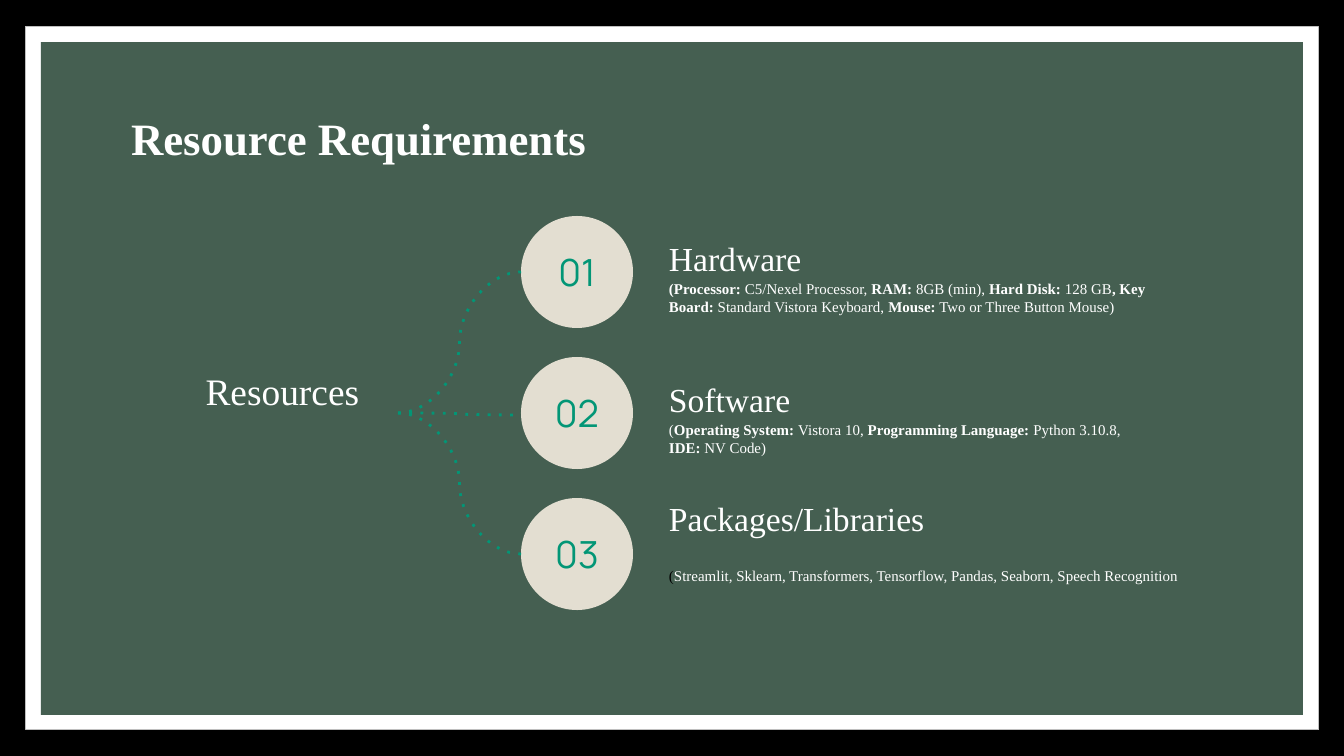
from lxml import etree
from pptx import Presentation
from pptx.dml.color import RGBColor
from pptx.enum.shapes import MSO_CONNECTOR, MSO_SHAPE
from pptx.enum.text import MSO_ANCHOR, MSO_AUTO_SIZE, PP_ALIGN
from pptx.oxml.ns import qn
from pptx.util import Pt

RECTANGLE, OVAL = MSO_SHAPE.RECTANGLE, MSO_SHAPE.OVAL
CURVE = MSO_CONNECTOR.CURVE
TOP, MIDDLE, BOTTOM = MSO_ANCHOR.TOP, MSO_ANCHOR.MIDDLE, MSO_ANCHOR.BOTTOM
LEFT, CENTER = PP_ALIGN.LEFT, PP_ALIGN.CENTER

COLORS = {
    "black": "000000", "white": "FFFFFF", "border": "BFBFBF",
    "green": "455F51", "cream": "E3DED1", "teal": "029676",
}
SERIF, SANS = "Times New Roman", "Manrope"

TITLE = "Resource Requirements"
HUB = "Resources"
RESOURCES = [
    {
        "number": "01", "heading": "Hardware",
        "heading_top": 214, "detail_box": (267, 503), "spacing": 1.0, "link_y": 272,
        "detail": [
            ("(Processor: ", True, "white"), ("C5/Nexel Processor, ", False, "white"),
            ("RAM:", True, "white"), (" 8GB (min), ", False, "white"),
            ("Hard Disk: ", True, "white"), ("128 GB", False, "white"),
            (", Key Board:", True, "white"), (" Standard Vistora Keyboard, ", False, "white"),
            ("Mouse:", True, "white"), (" Two or Three Button Mouse)", False, "white"),
        ],
    },
    {
        "number": "02", "heading": "Software",
        "heading_top": 355, "detail_box": (408, 503), "spacing": 1.0, "link_y": 415,
        "detail": [
            ("(", False, "white"), ("Operating System: ", True, "white"),
            ("Vistora 10, ", False, "white"), ("Programming Language: ", True, "white"),
            ("Python 3.10.8, ", False, "white"), ("IDE: ", True, "white"),
            ("NV Code)", False, "white"),
        ],
    },
    {
        "number": "03", "heading": "Packages/Libraries",
        "heading_top": 474, "detail_box": (551, 554), "spacing": 1.15, "link_y": 554,
        "detail": [
            ("(", False, "black"),
            ("Streamlit, Sklearn, Transformers, Tensorflow, Pandas, Seaborn, "
             "Speech Recognition", False, "white"),
        ],
    },
]

SCALE = 914400 / 134.4
INSET = 13
CIRCLE_LEFT, CIRCLE_TOP, CIRCLE_SIZE, CIRCLE_STEP = 521, 216, 112, 141
TEXT_LEFT, HEADING_WIDTH, HEADING_HEIGHT, DETAIL_HEIGHT = 656, 503, 77, 56
HUB_BOX = (167, 348, 231, 130)
HUB_POINT = (398, 413)


def px(*values):
    return [round(value * SCALE) for value in values]


def color(name):
    return RGBColor.from_string(COLORS[name])


def set_all(target, values):
    for name, value in values.items():
        setattr(target, name, value)


def write(shape, runs, size, font=SERIF, anchor=TOP, align=LEFT, spacing=1.0):
    inset = px(INSET)[0]
    frame = shape.text_frame
    set_all(frame, {
        "word_wrap": True, "auto_size": MSO_AUTO_SIZE.NONE, "vertical_anchor": anchor,
        "margin_left": inset, "margin_right": inset,
        "margin_top": inset, "margin_bottom": inset,
    })
    paragraph = frame.paragraphs[0]
    set_all(paragraph, {"alignment": align, "line_spacing": spacing})
    for text, bold, color_name in runs:
        run = paragraph.add_run()
        run.text = text
        set_all(run.font, {"name": font, "size": Pt(size), "bold": bold})
        run.font.color.rgb = color(color_name)


def add_text(slide, box, runs, size, **options):
    write(slide.shapes.add_textbox(*px(*box)), runs, size, **options)


def add_filled(slide, kind, box, fill, line=None):
    shape = slide.shapes.add_shape(kind, *px(*box))
    shape.shadow.inherit = False
    shape.fill.solid()
    shape.fill.fore_color.rgb = color(fill)
    if line:
        shape.line.color.rgb = color(line)
        shape.line.width = Pt(0.5)
    else:
        shape.line.fill.background()
    return shape


def add_link(slide, start, end):
    link = slide.shapes.add_connector(CURVE, *px(*start, *end))
    link.line.color.rgb = color("teal")
    link.line.width = Pt(1.5)
    properties = link._element.spPr
    dash = etree.SubElement(properties.find(qn("a:ln")), qn("a:prstDash"))
    dash.set("val", "dot")
    etree.SubElement(properties, qn("a:effectLst"))


def add_resource(slide, index, resource):
    circle_top = CIRCLE_TOP + index * CIRCLE_STEP
    circle = add_filled(
        slide, OVAL, (CIRCLE_LEFT, circle_top, CIRCLE_SIZE, CIRCLE_SIZE), "cream")
    write(circle, [(resource["number"], False, "teal")], 20,
          font=SANS, anchor=MIDDLE, align=CENTER)
    add_text(slide, (TEXT_LEFT, resource["heading_top"], HEADING_WIDTH, HEADING_HEIGHT),
             [(resource["heading"], False, "white")], 18, anchor=BOTTOM, spacing=1.15)
    top, width = resource["detail_box"]
    add_text(slide, (TEXT_LEFT, top, width, DETAIL_HEIGHT),
             resource["detail"], 8, spacing=resource["spacing"])
    add_link(slide, HUB_POINT, (CIRCLE_LEFT, resource["link_y"]))


def main():
    presentation = Presentation()
    presentation.slide_width, presentation.slide_height = px(1344, 756)
    slide = presentation.slides.add_slide(presentation.slide_layouts[5])
    slide.background.fill.solid()
    slide.background.fill.fore_color.rgb = color("black")

    add_filled(slide, RECTANGLE, (26, 27, 1293, 703), "white", "border")
    add_filled(slide, RECTANGLE, (41, 42, 1262, 673), "green")

    title = slide.shapes.title
    slide.shapes._spTree.append(title._element)
    set_all(title, dict(zip(("left", "top", "width", "height"), px(118, 71, 1109, 151))))
    write(title, [(TITLE, True, "white")], 24, spacing=1.5)

    add_text(slide, HUB_BOX, [(HUB, False, "white")], 20, align=CENTER, spacing=1.15)
    for index, resource in enumerate(RESOURCES):
        add_resource(slide, index, resource)

    presentation.save("out.pptx")


if __name__ == "__main__":
    main()
